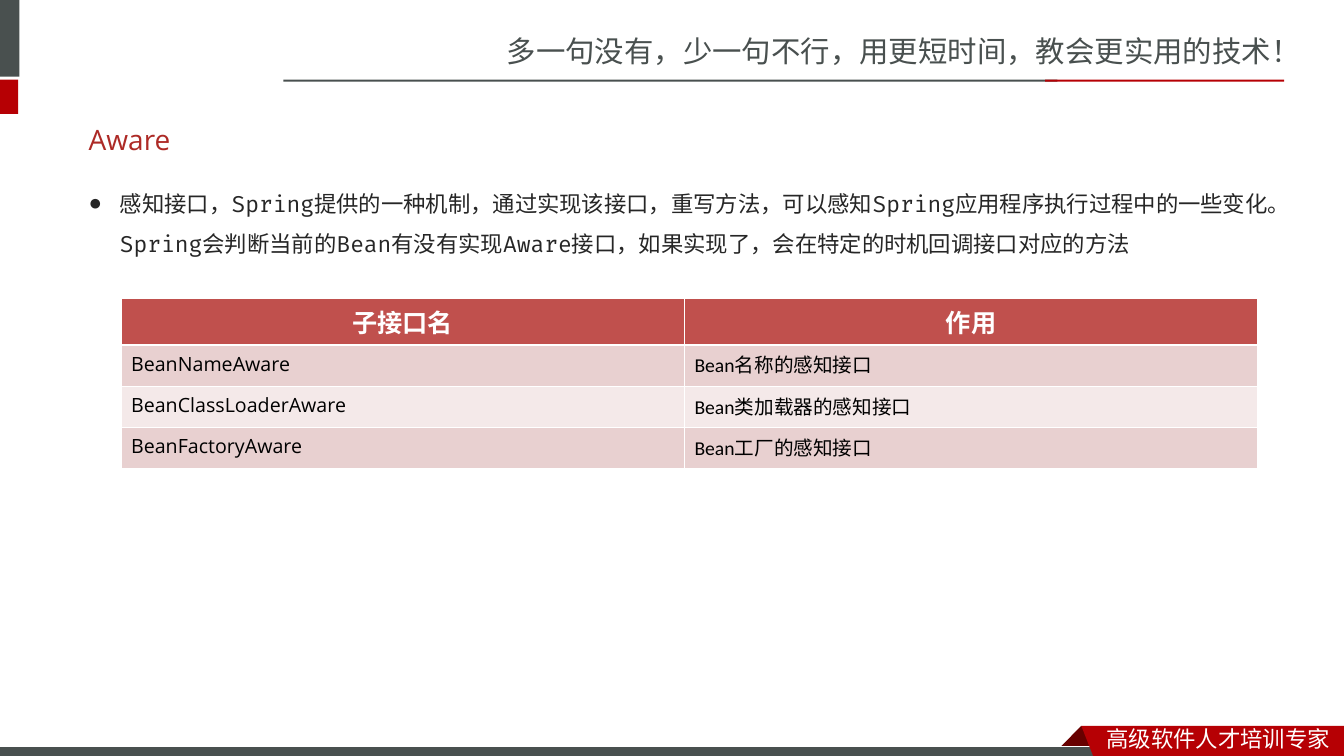
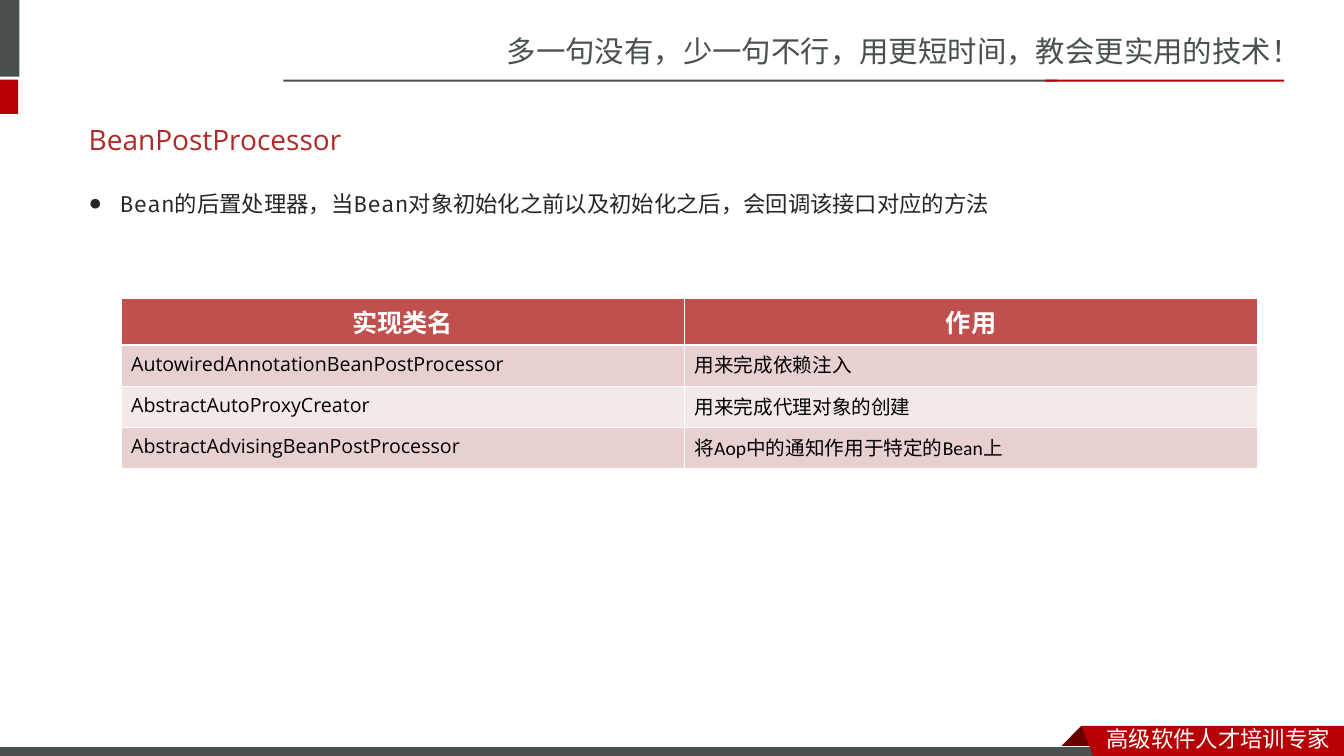
from lxml import etree
from pptx import Presentation
from pptx.dml.color import RGBColor
from pptx.enum import shapes, text
from pptx.oxml import ns
from pptx.util import Cm, Pt

# Colours and fonts
GREY = RGBColor(0x49, 0x50, 0x4F)
RED = RGBColor(0xB6, 0x00, 0x04)
DARK_RED = RGBColor(0x68, 0x00, 0x00)
TITLE_RED = RGBColor(0xAD, 0x2A, 0x26)
BODY_GREY = RGBColor(0x26, 0x26, 0x26)
WHITE = RGBColor(0xFF, 0xFF, 0xFF)
BLACK = RGBColor(0x00, 0x00, 0x00)
HEADER_FILL = RGBColor(0xC0, 0x50, 0x4D)
ROW_FILLS = [RGBColor(0xE8, 0xD0, 0xD0), RGBColor(0xF4, 0xE9, 0xE9)]
CJK_FONT = "Noto Sans CJK SC"


def write(frame, wording, font, size, colour, align=text.PP_ALIGN.LEFT, bold=False):
    """Fill a text frame with one formatted paragraph and return it."""
    frame.text = wording
    para = frame.paragraphs[0]
    para.alignment = align
    span = para.runs[0]
    span.font.name = font
    span.font.size = Pt(size)
    span.font.bold = bold
    span.font.color.rgb = colour
    east_asian = etree.Element(ns.qn("a:ea"), typeface=CJK_FONT)
    span.font.fill  # the run properties exist by now
    span.font.language_id = None
    span_properties = para.runs[0].font
    latin = para.runs[0]._r.rPr.find(ns.qn("a:latin"))
    latin.addnext(east_asian)
    return para


def paint(shape, colour, outline=None):
    """Give a shape a flat fill and an optional thin outline."""
    shape.shadow.inherit = False
    shape.fill.solid()
    shape.fill.fore_color.rgb = colour
    if outline is None:
        shape.line.fill.background()
    else:
        shape.line.color.rgb = outline
        shape.line.width = Pt(0.75)


# Slide contents: title, list text, table rows
PAGES = [
    (
        "Aware",
        "感知接口，Spring提供的一种机制，通过实现该接口，重写方法，可以感知Spring应用程序执行过程中的一些变化。"
        "Spring会判断当前的Bean有没有实现Aware接口，如果实现了，会在特定的时机回调接口对应的方法",
        [
            ("子接口名", "作用"),
            ("BeanNameAware", "Bean名称的感知接口"),
            ("BeanClassLoaderAware", "Bean类加载器的感知接口"),
            ("BeanFactoryAware", "Bean工厂的感知接口"),
        ],
    ),
    (
        "BeanPostProcessor",
        "Bean的后置处理器，当Bean对象初始化之前以及初始化之后，会回调该接口对应的方法",
        [
            ("实现类名", "作用"),
            ("AutowiredAnnotationBeanPostProcessor", "用来完成依赖注入"),
            ("AbstractAutoProxyCreator", "用来完成代理对象的创建"),
            ("AbstractAdvisingBeanPostProcessor", "将Aop中的通知作用于特定的Bean上"),
        ],
    ),
]

deck = Presentation()
deck.slide_width = Cm(33.87)
deck.slide_height = Cm(19.05)
layout = deck.slide_layouts[1]

# Placeholder places, inherited by every slide
for placeholder, place in zip(
    layout.placeholders, [(1.98, 2.79, 29.72, 1.45), (1.98, 4.32, 30.76, 2.16)]
):
    placeholder.left, placeholder.top, placeholder.width, placeholder.height = map(Cm, place)

# Shared decoration: drawn on the first slide, then moved to the layout
first_page = deck.slides.add_slide(layout)
decoration = []

# Side blocks, header rule and bottom band
BARS = [
    ((-0.15, 0, 0.64, 1.93), GREY, None),
    ((-0.15, 2.01, 0.61, 0.86), RED, None),
    ((7.14, 2.01, 19.51, 0.05), GREY, None),
    ((26.34, 2.01, 6.02, 0.05), RED, None),
    ((-0.03, 18.82, 27.94, 0.3), GREY, WHITE),
]
for place, colour, outline in BARS:
    bar = first_page.shapes.add_shape(shapes.MSO_SHAPE.RECTANGLE, *map(Cm, place))
    paint(bar, colour, outline)
    decoration.append(bar)

# Footer ribbon; its fold lies behind the bottom band
fold_points = [(27.25, 18.29), (27.81, 18.85), (27.79, 18.87), (26.72, 18.87), (26.7, 18.85)]
ribbon_points = [(27.25, 18.29), (33.87, 18.29), (33.87, 19.15), (27.58, 19.13)]
for points, colour, position in [
    (fold_points, DARK_RED, len(decoration) - 1),
    (ribbon_points, RED, len(decoration) + 1),
]:
    corners = [(Cm(x), Cm(y)) for x, y in points]
    builder = first_page.shapes.build_freeform(*corners[0])
    builder.add_line_segments(corners[1:], close=True)
    ribbon = builder.convert_to_shape()
    paint(ribbon, colour)
    decoration.insert(position, ribbon)

# Slogan and footer wording
for place, wording, size, colour in [
    ((12.52, 0.71, 21.36, 1.19), "多一句没有，少一句不行，用更短时间，教会更实用的技术！", 21, GREY),
    ((27.64, 18.16, 6.22, 0.94), "高级软件人才培训专家", 16, WHITE),
]:
    box = first_page.shapes.add_textbox(*map(Cm, place))
    box.text_frame.word_wrap = True
    write(box.text_frame, wording, CJK_FONT, size, colour)
    decoration.append(box)

for shape in decoration:
    layout.shapes.element.append(shape.element)

# Slides
for number, (title, description, rows) in enumerate(PAGES):
    page = deck.slides.add_slide(layout) if number else first_page
    heading, body = page.placeholders

    # Title
    heading.text_frame.vertical_anchor = text.MSO_ANCHOR.MIDDLE
    write(heading.text_frame, title, "Open Sans", 20, TITLE_RED)

    # Bulleted description
    body.text_frame.auto_size = text.MSO_AUTO_SIZE.NONE
    para = write(body.text_frame, description, "Fira Code", 16, BODY_GREY)
    para.line_spacing = 1.5
    properties = para._p.get_or_add_pPr()
    properties.set("marL", str(Cm(0.79)))
    properties.set("indent", str(-Cm(0.79)))
    etree.SubElement(properties, ns.qn("a:buChar"), char="●")

    # Table: the built-in style supplies the white rules
    table = page.shapes.add_table(
        len(rows), 2, Cm(3.05), Cm(7.52), Cm(28.65), Cm(4.16)
    ).table
    table.columns[0].width = Cm(14.2)
    table.columns[1].width = Cm(14.45)
    for row, wordings in enumerate(rows):
        for column, wording in enumerate(wordings):
            cell = table.cell(row, column)
            cell.fill.solid()
            if row == 0:
                cell.fill.fore_color.rgb = HEADER_FILL
                write(cell.text_frame, wording, "Calibri", 18, WHITE,
                      text.PP_ALIGN.CENTER, bold=True)
            else:
                cell.fill.fore_color.rgb = ROW_FILLS[(row - 1) % 2]
                font = ("Open Sans", "Calibri")[column]
                write(cell.text_frame, wording, font, 14, BLACK)

deck.save("out.pptx")
